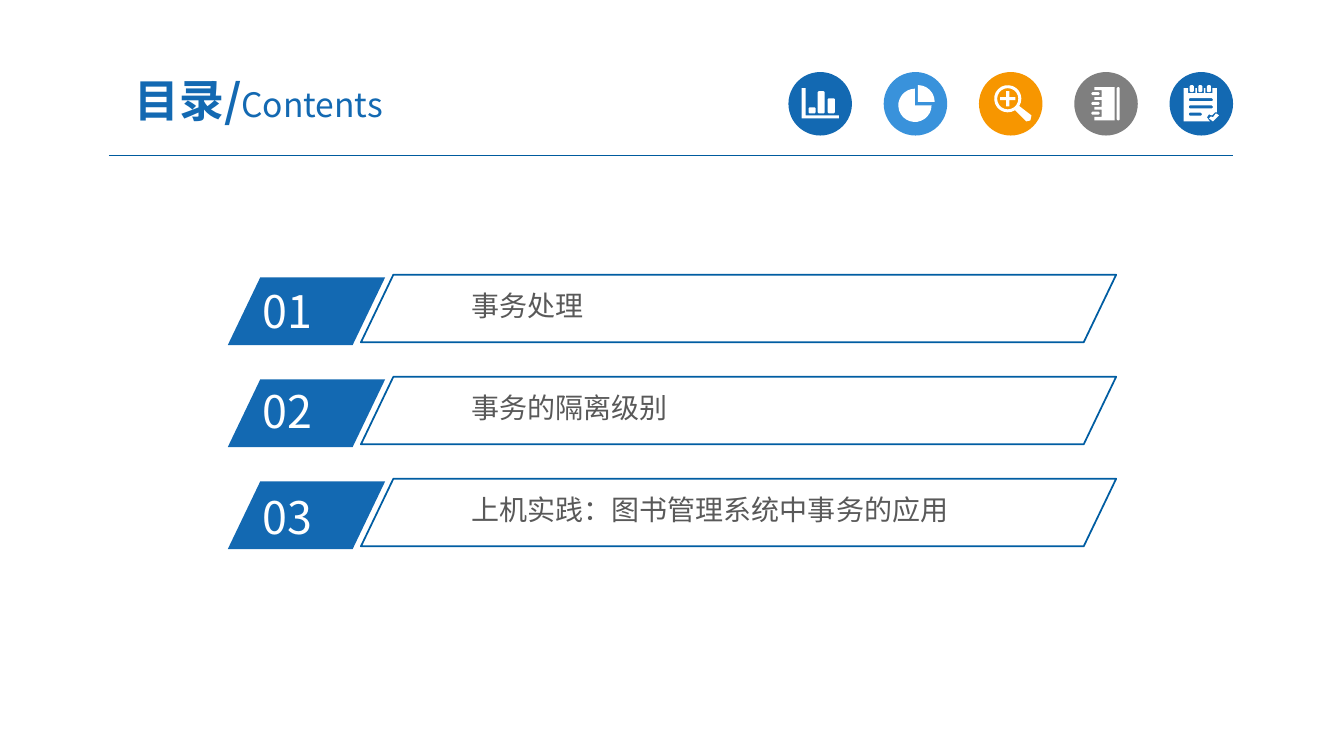
from math import cos, radians, sin
from pptx import Presentation, util as u
from pptx.dml.color import RGBColor
from pptx.enum import shapes, text
from pptx.oxml.ns import qn
from lxml import etree

FACE = "Noto Sans CJK SC"
BLUE, SKY, AMBER, GRAY, WHITE = "1369B2", "3992DB", "F79600", "7F7F7F", "FFFFFF"
S = shapes.MSO_SHAPE
UNIT = u.Inches(0.01)  # all lengths are columns and rows of this grid

deck = Presentation()
deck.slide_width, deck.slide_height = u.Inches(13.33), u.Inches(7.5)
slide = deck.slides.add_slide(deck.slide_layouts[6])
tint = RGBColor.from_string


def draw(kind, box, fill=None, line=None, adj=()):
    if isinstance(kind, S):
        item = slide.shapes.add_shape(kind, *[round(n * UNIT) for n in box])
    else:
        item = kind.convert_to_shape()
    item.shadow.inherit = False
    for n, value in enumerate(adj):
        item.adjustments[n] = value
    if fill:
        item.fill.solid()
        item.fill.fore_color.rgb = tint(fill)
    else:
        item.fill.background()
    if line:
        item.line.color.rgb = tint(line)
        item.line.width = u.Pt(1.25)
    else:
        item.line.fill.background()


def write(box, runs, color, pad=(10, 5), **form):
    frame = slide.shapes.add_textbox(*[round(n * UNIT) for n in box]).text_frame
    sides = {"margin_left": pad[0], "margin_right": pad[0],
             "margin_top": pad[1], "margin_bottom": pad[1]}
    for name, gap in sides.items():
        setattr(frame, name, gap * UNIT)
    frame.word_wrap = True
    frame.vertical_anchor = form.get("anchor", text.MSO_ANCHOR.TOP)
    para = frame.paragraphs[0]
    para.alignment = form.get("align", text.PP_ALIGN.LEFT)
    for words, size, bold in runs:
        run = para.add_run()
        run.text = words
        for name, value in {"name": FACE, "size": u.Pt(size), "bold": bold}.items():
            setattr(run.font, name, value)
        run.font.color.rgb = tint(color)
        etree.SubElement(run._r.get_or_add_rPr(), qn("a:ea")).set("typeface", FACE)


# Header rule
rule = slide.shapes.add_connector(shapes.MSO_CONNECTOR.STRAIGHT,
                                  108 * UNIT, round(154.5 * UNIT),
                                  1223 * UNIT, round(154.5 * UNIT))
rule.line.color.rgb = tint("005B9E")
rule.line.width = u.Pt(0.75)
etree.SubElement(rule._element.spPr, qn("a:effectLst"))

# Icon outlines: a list is a polygon, a tuple of four a bar (x, y, w, h),
# a tuple of six an arc (x, y, radius, from, to, closing points)
chart = [[(13, 16), (17, 16), (17, 43), (50, 43), (50, 46), (13, 46)],
         (20, 35, 7, 6), (29, 19, 7, 22), (39, 26, 7, 15)]
pie = [(31, 33, 16.5, 0, 270, [(31, 33)]), (34, 29.5, 16.5, 270, 360, [(34, 29.5)])]
lens = [(28.5, 26.5, 13.5, 58, 392, [(52, 43), (51, 48), (47, 49)]),
        (28.5, 26.5, 10.5, 0, 360, []),
        [(27, 19), (30, 19), (30, 25), (36, 25), (36, 28), (30, 28),
         (30, 34), (27, 34), (27, 28), (21, 28), (21, 25), (27, 25)]]
spine, edge, rings, tabs, lines = [], [], [], [], []
for n in range(3):
    y, x = 18 + 9.7 * n, 18.5 + 8.5 * n
    spine += [(20, y), (27, y), (27, y + 7), (20, y + 7)]
    edge += [(x, 16), (x, 21), (x + 7, 21), (x + 7, 16)]
    rings.append((17, y + 2, 8, 3))
    tabs.append((x + 1.5, 13, 4, 7))
    lines.append((19, 26 + 7.2 * n, 24 if n < 2 else 13, 3))
book = [spine + [(20, 48), (40, 48), (40, 15), (20, 15)], (42, 15, 3, 33)] + rings
corner = [(47, 40), (45, 40), (42, 43), (39, 42), (37, 45), (40, 49)]
tick = [(39, 46), (41, 44), (43, 45), (46, 41), (49, 43), (43, 49)]
pad = [[(14, 16)] + edge + [(47, 16)] + corner + [(14, 49)], tick] + tabs + lines

# Icons
icons = [(BLUE, chart), (SKY, pie), (AMBER, lens), (GRAY, book), (BLUE, pad)]
for n, (color, parts) in enumerate(icons):
    left, top = 782 + 94.5 * n, 71.5
    draw(S.OVAL, (left, top, 63, 63), color)
    pen = None
    for part in parts:
        if isinstance(part, list):
            dots = part
        elif len(part) == 4:
            x, y, w, h = part
            dots = [(x + 1, y), (x + w - 1, y), (x + w, y + 1), (x + w, y + h - 1),
                    (x + w - 1, y + h), (x + 1, y + h), (x, y + h - 1), (x, y + 1)]
        else:
            x, y, r, start, end, tail = part
            turns = [radians(start + (end - start) * k / 20) for k in range(21)]
            dots = [(x + r * cos(a), y + r * sin(a)) for a in turns] + tail
        dots = [((left + x) * 10, (top + y) * 10) for x, y in dots]
        if pen is None:
            pen = slide.shapes.build_freeform(*dots[0], scale=UNIT / 10)
        else:
            pen.move_to(*dots[0])
        pen.add_line_segments(dots[1:], close=True)
    draw(pen, None, WHITE)

# Title
write((92, 63, 329, 72), [("目录/", 32, True), ("Contents", 24, False)], BLUE,
      pad=(13, 7), anchor=text.MSO_ANCHOR.MIDDLE, align=text.PP_ALIGN.CENTER)

# Contents rows
topics = [("事务处理", 277), ("事务的隔离级别", 376),
          ("上机实践：图书管理系统中事务的应用", 481)]
for n, (topic, top) in enumerate(topics):
    drop = 101.2 * n
    draw(S.PARALLELOGRAM, (226, 275.3 + drop, 156, 67), BLUE, adj=[0.48])
    write((251, top, 149, 64), [(f"{n + 1:02}", 32, False)], WHITE)
    write((460.5, 282.4 + drop, 549, 41), [(topic, 20, False)], "595959", pad=(7, 4))
    draw(S.PARALLELOGRAM, (358, 272.6 + drop, 749, 67), line="005DA2", adj=[0.48])

deck.save("out.pptx")
